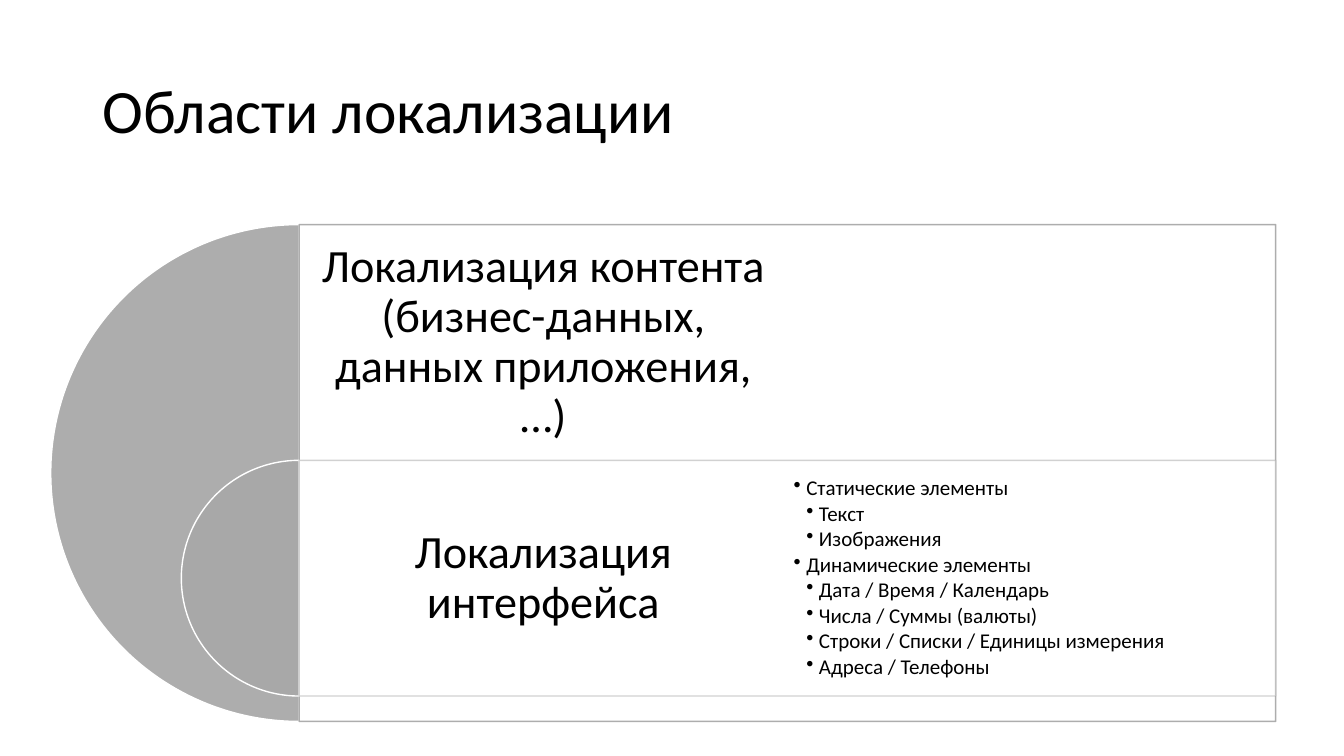
from lxml.etree import SubElement
from pptx import Presentation
from pptx.dml.color import RGBColor
from pptx.enum.shapes import MSO_SHAPE
from pptx.enum.text import MSO_ANCHOR, PP_ALIGN
from pptx.oxml.ns import qn
from pptx.util import Cm, Pt

BLACK = RGBColor(0x00, 0x00, 0x00)
WHITE = RGBColor(0xFF, 0xFF, 0xFF)
GRAY = RGBColor(0xA5, 0xA5, 0xA5)

LEFT, TOP = 7.54, 5.66
WIDTH, HALF = 24.61, 12.31
ROW = 5.94

# Diameter, top and opacity of each half disc with its frame
AREAS = [
    (12.52, TOP, 90, "Локализация контента (бизнес-данных, данных приложения, …)"),
    (ROW, TOP + ROW, 50, "Локализация интерфейса"),
]
ITEMS = [
    (1, "Статические элементы"),
    (2, "Текст"),
    (2, "Изображения"),
    (1, "Динамические элементы"),
    (2, "Дата / Время / Календарь"),
    (2, "Числа / Суммы (валюты)"),
    (2, "Строки / Списки / Единицы измерения"),
    (2, "Адреса / Телефоны"),
]


def set_alpha(fill, percent):
    """Make a solid colour inside the given XML element translucent."""
    color = fill.find(".//" + qn("a:srgbClr"))
    SubElement(color, qn("a:alpha"), val=str(percent * 1000))


def add_shape(slide, kind, box, fill, opacity, line):
    shape = slide.shapes.add_shape(kind, *map(Cm, box))
    shape.shadow.inherit = False
    shape.fill.solid()
    shape.fill.fore_color.rgb = fill
    set_alpha(shape.fill._xPr.find(qn("a:solidFill")), opacity)
    shape.line.color.rgb = line
    shape.line.width = Pt(1)
    return shape


def add_area(slide, size, top, opacity):
    """Draw a left half disc and the frame that starts at its centre."""
    box = (LEFT - size / 2, top, size, size)
    disc = add_shape(slide, MSO_SHAPE.PIE, box, GRAY, opacity, WHITE)
    disc.adjustments[0], disc.adjustments[1] = 54, 162
    box = (LEFT, top, WIDTH, size)
    frame = add_shape(slide, MSO_SHAPE.RECTANGLE, box, WHITE, 90, GRAY)
    set_alpha(frame.line._ln, opacity)


def add_box(slide, box, inset):
    frame = slide.shapes.add_textbox(*map(Cm, box)).text_frame
    frame.word_wrap = True
    frame.vertical_anchor = MSO_ANCHOR.MIDDLE
    for side in ("left", "top", "right", "bottom"):
        setattr(frame, f"margin_{side}", Cm(inset))
    return frame


def write(para, text, size, align=PP_ALIGN.LEFT):
    para.text = text
    para.alignment = align
    para.line_spacing = 0.9
    for name, value in {"name": "Calibri", "size": Pt(size)}.items():
        setattr(para.font, name, value)
    para.font.color.rgb = BLACK


def add_bullet(para, level):
    para.level = level
    props = para._p.get_or_add_pPr()
    props.set("marL", str(Cm(0.32 * level)))
    props.set("indent", str(-Cm(0.32)))
    SubElement(props, qn("a:buChar"), char="•")


def add_list(slide, box, items):
    frame = add_box(slide, box, 0.15)
    for index, (level, text) in enumerate(items):
        para = frame.add_paragraph() if index else frame.paragraphs[0]
        add_bullet(para, level)
        write(para, text, 15)
        para.space_after = Pt(2)


def main():
    deck = Presentation()
    deck.slide_width, deck.slide_height = Cm(33.87), Cm(19.05)
    slide = deck.slides.add_slide(deck.slide_layouts[6])

    title = add_box(slide, (2.33, 1.01, 29.21, 3.68), 0.25)
    write(title.paragraphs[0], "Области локализации", 44)

    for size, top, opacity, text in AREAS:
        add_area(slide, size, top, opacity)
        label = add_box(slide, (LEFT, top, HALF, ROW), 0.35)
        write(label.paragraphs[0], text, 33, PP_ALIGN.CENTER)
    add_list(slide, (LEFT + HALF, TOP + ROW, HALF, ROW), ITEMS)

    deck.save("out.pptx")


if __name__ == "__main__":
    main()
